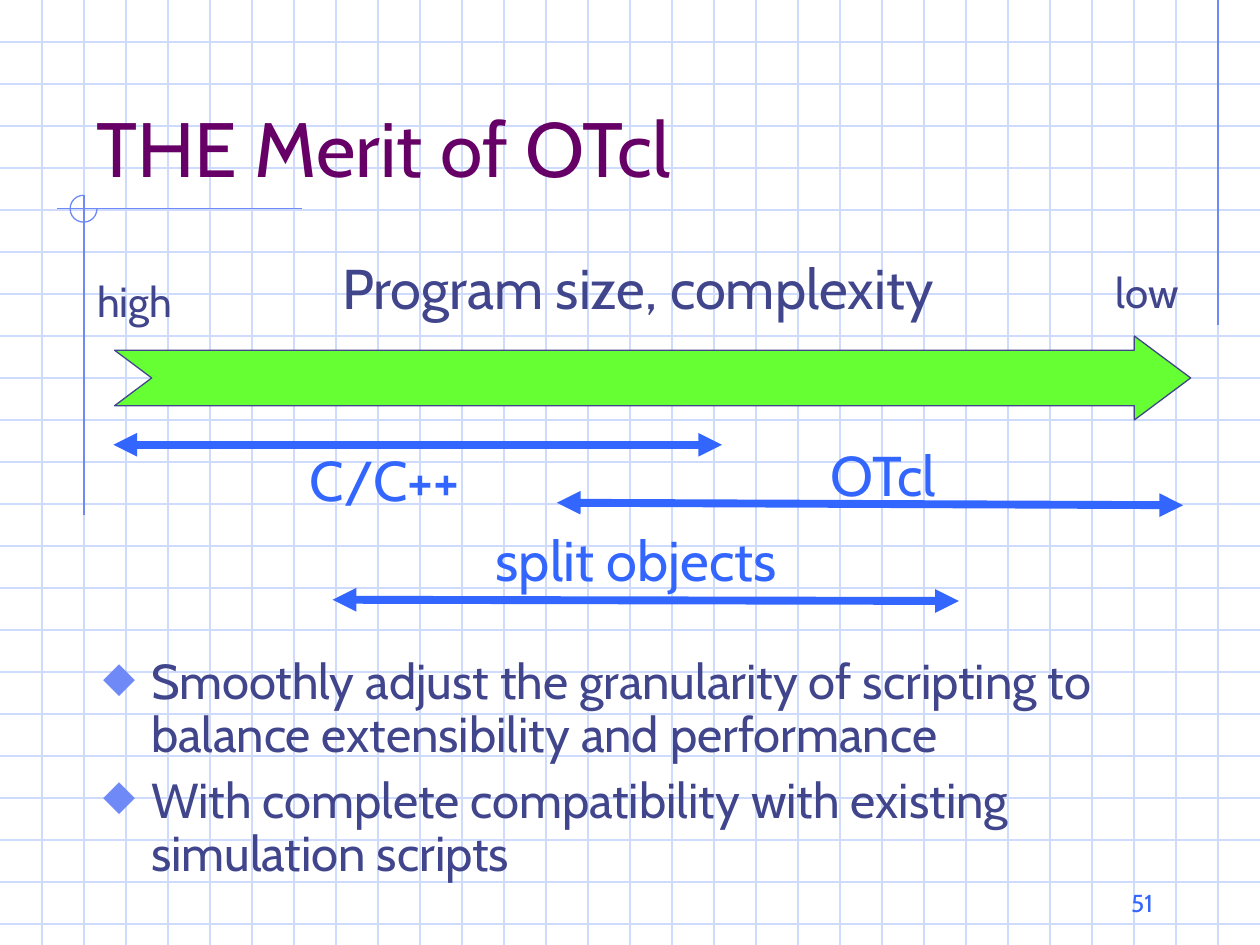
from dataclasses import dataclass

from lxml.etree import SubElement
from pptx import Presentation
from pptx.dml.color import RGBColor
from pptx.enum.shapes import MSO_CONNECTOR, MSO_SHAPE as Preset
from pptx.enum.text import MSO_ANCHOR as Anchor, PP_ALIGN as Align
from pptx.oxml.ns import qn
from pptx.util import Inches, Length, Pt

COLUMNS, ROWS = 30, 22.5
FONT, BULLET_FONT = "Cabin", "OpenSymbol"
GRID, ACCENT, PURPLE = "CFDBFD", "6F89F7", "660066"
NAVY, BLUE, GREEN = "40458C", "3366FF", "66FF33"


@dataclass(frozen=True)
class Box:
    column: float
    row: float
    columns: float
    rows: float


@dataclass(frozen=True)
class Line:
    start: tuple[float, float]
    end: tuple[float, float]
    color: str = ACCENT
    width: float = 0.75
    arrows: bool = False


@dataclass(frozen=True)
class Label:
    texts: tuple[str, ...]
    box: Box
    size: float
    color: str
    align: Align = Align.CENTER
    anchor: Anchor = Anchor.TOP
    wrap: bool = False
    bullets: bool = False


FRAME_LINES = (
    Line((29, 0), (29, 7.75)),
    Line((7.2, 4.97), (1.35, 4.97)),
    Line((2, 4.65), (2, 12.27)),
)
CORNER_ARC = Box(1.67, 4.65, 0.64, 0.64)
COMPLEXITY_ARROW = Box(2.73, 8, 25.62, 2)
RANGES = (
    Line((13.26, 11.97), (28.17, 12.03), BLUE, 4.5, True),
    Line((2.7, 10.59), (17.19, 10.59), BLUE, 4.5, True),
    Line((7.92, 14.28), (22.83, 14.31), BLUE, 4.5, True),
)
LABELS = (
    Label(("THE Merit of OTcl",), Box(2, 1, 25.5, 3.75), 44, PURPLE,
          Align.LEFT, Anchor.BOTTOM, wrap=True),
    Label(("Program size, complexity",), Box(7, 5.88, 16.38, 1.92), 32, NAVY),
    Label(("C/C++",), Box(6.36, 10.47, 5.61, 1.92), 32, BLUE),
    Label(("OTcl",), Box(19.35, 10.35, 3.36, 1.92), 32, BLUE),
    Label(("Smoothly adjust the granularity of scripting to balance "
           "extensibility and performance",
           "With complete compatibility with existing simulation scripts"),
          Box(2.16, 15.51, 26.16, 5.73), 28, NAVY, Align.LEFT,
          wrap=True, bullets=True),
    Label(("high",), Box(1.86, 6.42, 2.7, 1.5), 24, NAVY),
    Label(("low",), Box(26.19, 6.21, 2.25, 1.5), 24, NAVY),
    Label(("split objects",), Box(10.89, 12.36, 8.52, 1.92), 32, BLUE),
    Label(("51",), Box(21.51, 20.49, 6.24, 1.5), 14, BLUE,
          Align.RIGHT, Anchor.BOTTOM, wrap=True),
)


def rgb(color: str) -> RGBColor:
    """Turn a hex string into a colour."""
    return RGBColor.from_string(color)


def cells(count: float) -> Length:
    """Turn a number of grid cells into a length."""
    return Inches(count / 3)


def place(box: Box) -> tuple[Length, ...]:
    """Give left, top, width and height of a box."""
    return tuple(map(cells, (box.column, box.row, box.columns, box.rows)))


def draw_line(slide, line: Line) -> None:
    """Draw a straight line, with arrowheads at both ends if asked."""
    connector = slide.shapes.add_connector(
        MSO_CONNECTOR.STRAIGHT, *map(cells, line.start + line.end))
    connector.line.color.rgb = rgb(line.color)
    connector.line.width = Pt(line.width)
    if line.arrows:
        outline = connector.line._get_or_add_ln()
        for end in ("a:headEnd", "a:tailEnd"):
            SubElement(outline, qn(end), type="triangle")
    SubElement(connector._element.spPr, qn("a:effectLst"))


def draw_shape(slide, preset: Preset, box: Box, adjustments: tuple[float, ...],
               line: str, fill: str | None = None) -> None:
    """Draw a preset shape with a thin outline."""
    shape = slide.shapes.add_shape(preset, *place(box))
    shape.shadow.inherit = False
    for index, value in enumerate(adjustments):
        shape.adjustments[index] = value
    shape.line.color.rgb = rgb(line)
    shape.line.width = Pt(0.75)
    if fill:
        shape.fill.solid()
        shape.fill.fore_color.rgb = rgb(fill)
    else:
        shape.fill.background()


def add_bullet(paragraph) -> None:
    """Give a paragraph a hanging diamond bullet."""
    properties = paragraph._p.get_or_add_pPr()
    properties.set("marL", str(Inches(0.38)))
    properties.set("indent", str(Inches(-0.38)))
    color = SubElement(properties, qn("a:buClr"))
    SubElement(color, qn("a:srgbClr"), val=ACCENT)
    SubElement(properties, qn("a:buSzPct"), val="85000")
    SubElement(properties, qn("a:buFont"), typeface=BULLET_FONT)
    SubElement(properties, qn("a:buChar"), char="◆")


def draw_label(slide, label: Label) -> None:
    """Draw a text box with one paragraph for each text."""
    frame = slide.shapes.add_textbox(*place(label.box)).text_frame
    frame.word_wrap = label.wrap
    frame.vertical_anchor = label.anchor
    for index, text in enumerate(label.texts):
        paragraph = frame.add_paragraph() if index else frame.paragraphs[0]
        paragraph.text = text
        paragraph.alignment = label.align
        if label.bullets:
            add_bullet(paragraph)
            paragraph.line_spacing = 0.9
        if index:
            paragraph.space_before = Pt(7)
        font = paragraph.font
        font.name, font.size = FONT, Pt(label.size)
        font.color.rgb = rgb(label.color)


def main() -> None:
    """Build the slide and save it."""
    presentation = Presentation()
    presentation.slide_width = cells(COLUMNS)
    presentation.slide_height = cells(ROWS)
    slide = presentation.slides.add_slide(presentation.slide_layouts[6])
    for row in range(1, int(ROWS) + 1):
        draw_line(slide, Line((0, row), (COLUMNS, row), GRID))
    for column in range(1, COLUMNS):
        draw_line(slide, Line((column, 0), (column, ROWS), GRID))
    for line in FRAME_LINES:
        draw_line(slide, line)
    draw_shape(slide, Preset.ARC, CORNER_ARC, (0, 162), ACCENT)
    draw_shape(slide, Preset.NOTCHED_RIGHT_ARROW, COMPLEXITY_ARROW,
               (0.66, 0.67), NAVY, GREEN)
    for line in RANGES:
        draw_line(slide, line)
    for label in LABELS:
        draw_label(slide, label)
    presentation.save("out.pptx")


if __name__ == "__main__":
    main()
